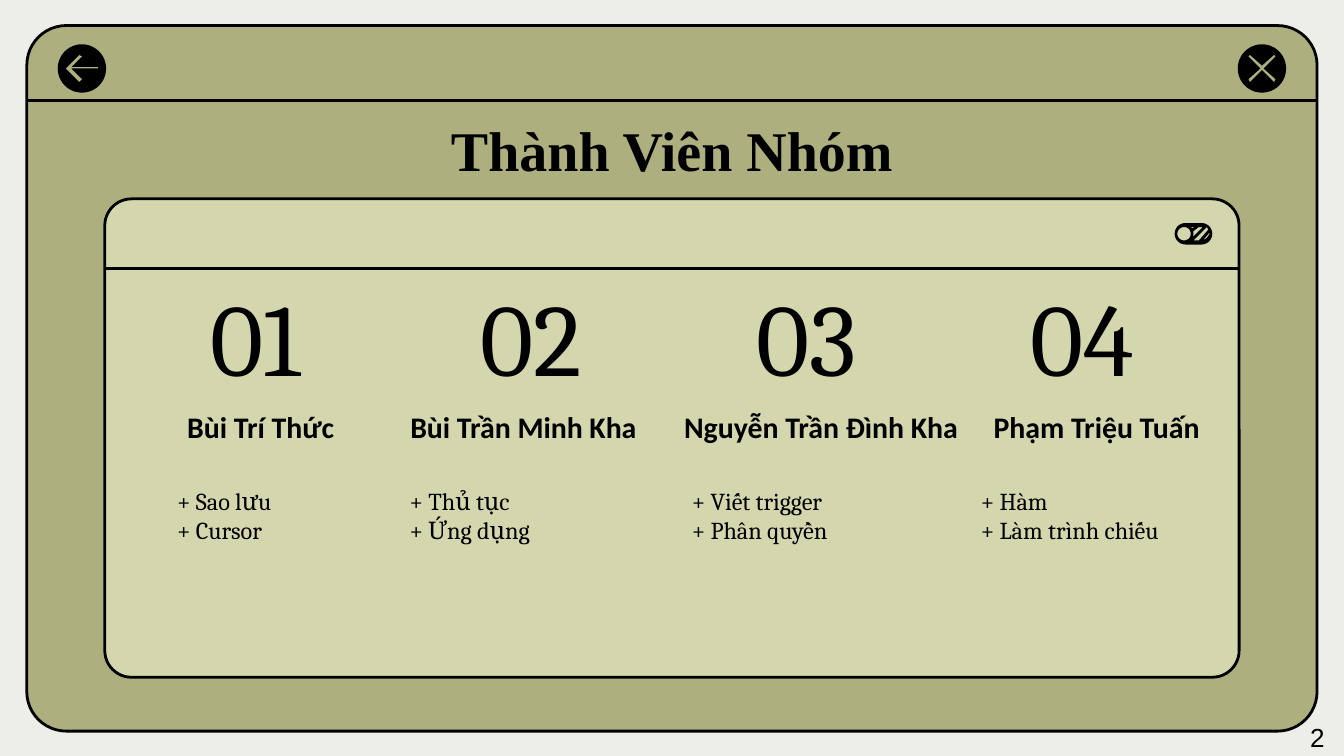
import math

from lxml import etree
from pptx import Presentation
from pptx.dml.color import RGBColor
from pptx.enum.shapes import MSO_CONNECTOR, MSO_SHAPE
from pptx.enum.text import MSO_ANCHOR, PP_ALIGN
from pptx.oxml.ns import qn
from pptx.util import Inches, Pt

ROUNDED = MSO_SHAPE.ROUNDED_RECTANGLE
OVAL = MSO_SHAPE.OVAL
STRAIGHT = MSO_CONNECTOR.STRAIGHT
TOP, MIDDLE, BOTTOM = MSO_ANCHOR.TOP, MSO_ANCHOR.MIDDLE, MSO_ANCHOR.BOTTOM
LEFT, CENTER = PP_ALIGN.LEFT, PP_ALIGN.CENTER

PAPER, OLIVE, PALE, INK = "EEEEE9", "ADAF7E", "D4D7AD", "000000"

MEMBERS = [
    ("Bùi Trí Thức", 0.98, 1.92, 1.22, ["+ Sao lưu", "+ Cursor"]),
    ("Bùi Trần Minh Kha", 2.8, 2.19, 2.95, ["+ Thủ tục", "+ Ứng dụng"]),
    ("Nguyễn Trần Đình Kha", 4.68, 2.86, 5.05, ["+ Viết trigger", "+ Phân quyền"]),
    ("Phạm Triệu Tuấn", 7.2, 1.92, 7.2, ["+ Hàm", "+ Làm trình chiếu"]),
]
COLUMN_WIDTH, NUMBER_LEFT, NUMBER_STEP = 1.92, 0.94, 2.05

CLOSE_CROSS = [
    (9.3, 0.41), (9.29, 0.42), (9.38, 0.51), (9.29, 0.59), (9.3, 0.61), (9.39, 0.52),
    (9.48, 0.61), (9.49, 0.59), (9.4, 0.51), (9.49, 0.42), (9.48, 0.41), (9.39, 0.49),
]
BACK_ARROW = [
    (0.59, 0.41), (0.49, 0.51), (0.59, 0.61), (0.61, 0.59), (0.53, 0.51),
    (0.73, 0.51), (0.73, 0.5), (0.53, 0.5), (0.61, 0.42),
]
TOGGLE_STRIPES = [
    [(8.89, 1.69), (8.87, 1.7), (8.86, 1.69)],
    [(8.95, 1.69), (8.88, 1.76), (8.88, 1.72), (8.92, 1.69)],
    [(8.98, 1.69), (8.99, 1.71), (8.92, 1.79), (8.88, 1.79)],
    [(9, 1.73), (9, 1.74), (8.98, 1.77), (8.95, 1.79)],
]


def color(hex_string):
    return RGBColor.from_string(hex_string)


def arc(x, y, radius, start, end):
    angles = [math.radians(angle) for angle in range(start, end + 1, 10)]
    return [(x + radius * math.cos(a), y + radius * math.sin(a)) for a in angles]


class WindowSlide:
    line_width = Pt(1.5)

    def __init__(self, slide):
        self.slide = slide
        self.shapes = slide.shapes
        slide.background.fill.solid()
        slide.background.fill.fore_color.rgb = color(PAPER)

    def paint(self, shape, fill, line=None):
        shape.shadow.inherit = False
        shape.fill.solid()
        shape.fill.fore_color.rgb = color(fill)
        if line:
            shape.line.color.rgb = color(line)
            shape.line.width = self.line_width
        else:
            shape.line.fill.background()

    def window(self, left, top, width, height, bar_bottom, fill):
        frame = self.shapes.add_shape(ROUNDED, *map(Inches, (left, top, width, height)))
        frame.adjustments[0] = 0.056
        self.paint(frame, fill, INK)
        self.rule(left + 0.01, left + width, bar_bottom)

    def rule(self, start, end, y):
        divider = self.shapes.add_connector(STRAIGHT, *map(Inches, (start, y, end, y)))
        divider.line.color.rgb = color(INK)
        divider.line.width = self.line_width
        etree.SubElement(divider._element.spPr, qn("a:effectLst"))

    def outline(self, contours, fill):
        scaled = [[(Inches(x), Inches(y)) for x, y in contour] for contour in contours]
        builder = self.shapes.build_freeform(*scaled[0][0], scale=1.0)
        builder.add_line_segments(scaled[0][1:], close=True)
        for contour in scaled[1:]:
            builder.move_to(*contour[0])
            builder.add_line_segments(contour[1:], close=True)
        self.paint(builder.convert_to_shape(), fill)

    def button(self, left, symbol):
        disc = self.shapes.add_shape(OVAL, *map(Inches, (left, 0.33, 0.36, 0.36)))
        self.paint(disc, INK)
        self.outline([symbol], OLIVE)

    def text(self, lines, left, top, width, height, *, font, size, bold=False,
             align=CENTER, anchor=MIDDLE, inset=0.1, spacing=None):
        box = self.shapes.add_textbox(*map(Inches, (left, top, width, height)))
        frame = box.text_frame
        frame.word_wrap = True
        frame.vertical_anchor = anchor
        frame.margin_left = frame.margin_right = Inches(0.1)
        frame.margin_top = frame.margin_bottom = Inches(inset)
        for index, line in enumerate(lines):
            paragraph = frame.add_paragraph() if index else frame.paragraphs[0]
            paragraph.alignment = align
            if spacing:
                paragraph.line_spacing = spacing
            run = paragraph.add_run()
            run.text = line
            run.font.name = font
            run.font.size = Pt(size)
            run.font.bold = bold
            run.font.color.rgb = color(INK)


def main():
    deck = Presentation()
    deck.slide_width = Inches(10)
    deck.slide_height = deck.slide_width * 9 // 16
    page = WindowSlide(deck.slides.add_slide(deck.slide_layouts[6]))

    page.window(0.2, 0.19, 9.6, 5.25, 0.75, OLIVE)
    page.window(0.78, 1.48, 8.44, 3.56, 2, PALE)
    page.text(["Thành Viên Nhóm"], 0.78, 0.86, 8.44, 0.62,
              font="Times New Roman", size=30, bold=True, spacing=0.7)

    for index, (member, name_left, name_width, task_left, tasks) in enumerate(MEMBERS):
        page.text([f"{index + 1:02}"], NUMBER_LEFT + index * NUMBER_STEP, 2.1,
                  COLUMN_WIDTH, 0.8, font="Cambria", size=55)
        page.text([member], name_left, 2.97, name_width, 0.44,
                  font="Calibri", size=16, bold=True, anchor=BOTTOM)
        page.text(tasks, task_left, 3.52, COLUMN_WIDTH, 0.93,
                  font="Cambria", size=13, align=LEFT, anchor=TOP)

    page.button(9.21, CLOSE_CROSS)
    page.button(0.43, BACK_ARROW)
    pill = arc(8.82, 1.74, 0.08, 90, 270) + arc(8.94, 1.74, 0.08, -90, 90)
    knob = arc(8.81, 1.74, 0.05, 0, 350)
    page.outline([pill, knob, *TOGGLE_STRIPES], INK)

    page.text(["2"], 9.65, 5.32, 0.45, 0.33, font="Arial", size=14,
              align=LEFT, anchor=TOP, inset=0.05)
    deck.save("out.pptx")


if __name__ == "__main__":
    main()
